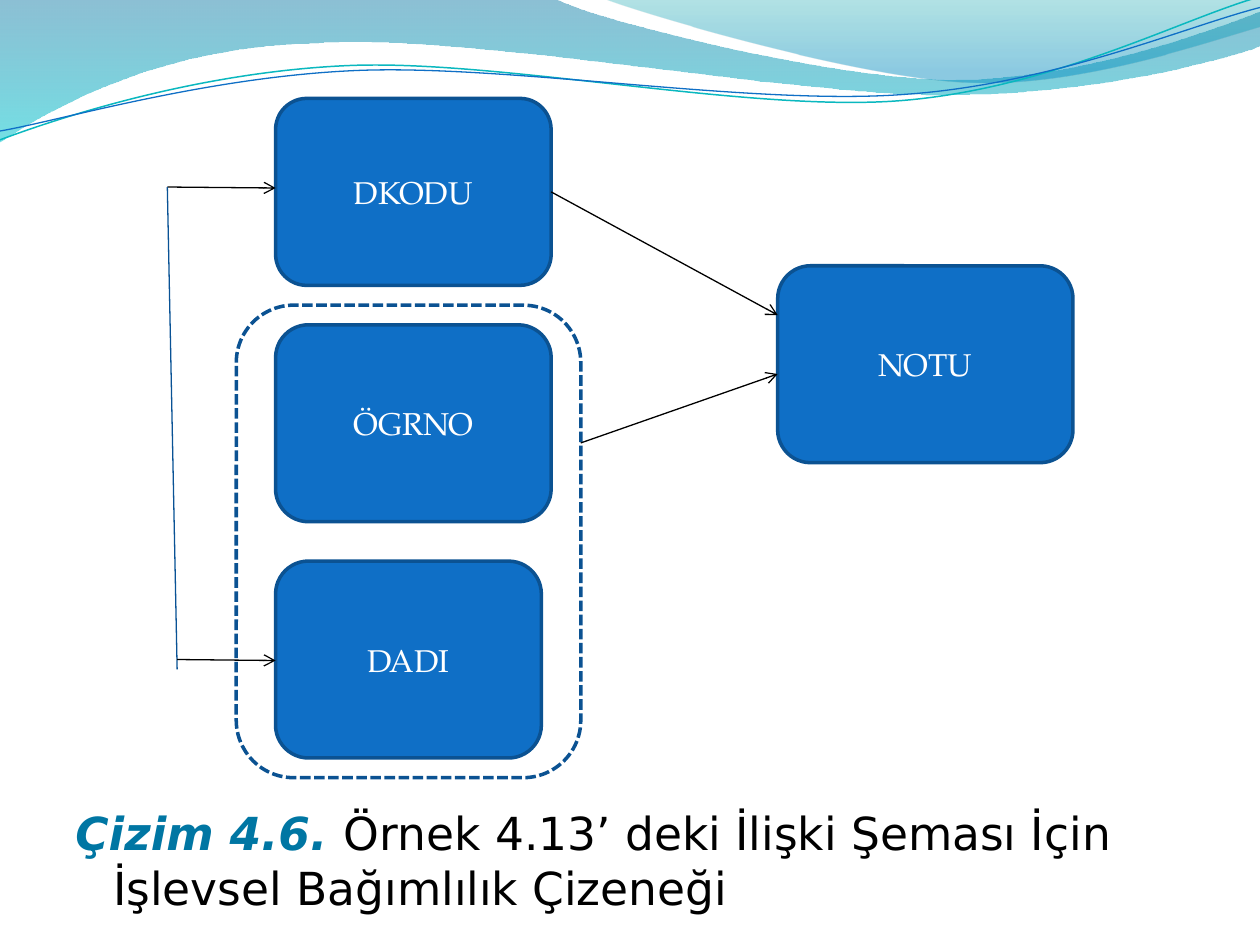
"""Builds the functional dependency diagram slide with its wave header."""
from math import cos, radians, sin

from lxml.etree import SubElement
from pptx import Presentation
from pptx.dml.color import RGBColor
from pptx.enum.dml import MSO_LINE
from pptx.enum.shapes import MSO_CONNECTOR, MSO_SHAPE
from pptx.enum.text import MSO_ANCHOR, PP_ALIGN
from pptx.oxml.ns import qn
from pptx.util import Inches, Pt

BLUE = RGBColor(0x0F, 0x6F, 0xC6)
BLUE_EDGE = RGBColor(0x0B, 0x52, 0x92)
BLUE_LINK = RGBColor(0x09, 0x52, 0x95)
CAPTION_BLUE = RGBColor(0x00, 0x76, 0xA3)
TEAL_LINE = RGBColor(0x0A, 0xB8, 0xBF)
WAVE_BLUE = RGBColor(0x00, 0x74, 0xA1)
WAVE_CYAN = RGBColor(0x00, 0xC6, 0xCF)
CREST_TEAL = RGBColor(0x00, 0xA1, 0xA9)
CREST_BLUE = RGBColor(0x00, 0x8B, 0xBF)
BLACK = RGBColor(0, 0, 0)
WHITE = RGBColor(0xFF, 0xFF, 0xFF)
TILT = 2.7

prs = Presentation()
prs.slide_width, prs.slide_height = Inches(10), Inches(7.5)
UNIT = prs.slide_width / 128
slide = prs.slides.add_slide(prs.slide_layouts[6])
shapes = slide.shapes


def grid(*cells):
    return [round(cell * UNIT) for cell in cells]


def draw_wave(segments, closed):
    """Draw segments of one point (straight) or three points (Bézier curve)."""
    points = [(Inches(x), Inches(y)) for segment in segments for x, y in segment]
    builder = shapes.build_freeform(*points[0])
    builder.add_line_segments(points[1:], close=closed)
    wave = builder.convert_to_shape()
    wave.shadow.inherit = False
    straights = iter(list(wave._element.iter(qn("a:lnTo"))))
    for segment in segments[1:]:
        lead, *rest = [next(straights) for _ in segment]
        if rest:
            lead.tag = qn("a:cubicBezTo")
            for straight in rest:
                lead.append(straight[0])
                straight.getparent().remove(straight)
    return wave


bands = [
    ([[(0, 0)], [(4.4, -0.01)],
      [(4.76, 0.17), (6.64, 0.63), (7.58, 0.63)],
      [(8.53, 0.63), (9.58, 0.26), (10, 0.09)], [(10.01, 0.36)],
      [(9.83, 0.44), (8.7, 0.76), (7.46, 0.75)],
      [(6.22, 0.75), (3.82, 0.28), (2.57, 0.34)],
      [(1.29, 0.36), (0.46, 0.83), (-0.01, 1.13)], [(0, 0)]],
     [(0, WAVE_BLUE, 45), (1, WAVE_CYAN, 55)]),
    ([[(4.79, -0.01)],
      [(5.09, 0.11), (6.82, 0.62), (7.69, 0.65)],
      [(8.56, 0.69), (9.61, 0.32), (10, 0.21)], [(10, 0)], [(4.79, -0.01)]],
     [(0, CREST_TEAL, 30), (0.8, CREST_BLUE, 45)]),
]
for segments, colours in bands:
    band = draw_wave(segments, True)
    band.line.fill.background()
    band.fill.gradient()
    band.fill.gradient_angle = 270
    for stop, (position, colour, _) in zip(band.fill.gradient_stops, colours):
        stop.position = position
        stop.color.rgb = colour
    for colour_xml, (_, _, opacity) in zip(band._element.iter(qn("a:srgbClr")), colours):
        SubElement(colour_xml, qn("a:alpha"), val=str(opacity * 1000))

ripples = [
    ([[(0, 1.11)],
      [(0.48, 0.93), (1.58, 0.57), (2.77, 0.52)],
      [(3.95, 0.47), (5.93, 0.89), (7.13, 0.8)],
      [(8.33, 0.71), (9.38, 0.15), (9.98, -0.02)]], (4.99, 0.58), TEAL_LINE, 0.85),
    ([[(0, 1.04)],
      [(0.47, 0.96), (1.64, 0.61), (2.83, 0.56)],
      [(4.03, 0.51), (5.97, 0.84), (7.17, 0.75)],
      [(8.36, 0.67), (9.41, 0.21), (10, 0.06)]], (5, 0.59), BLUE, 0.75),
]
turn_cos, turn_sin = cos(radians(TILT)), sin(radians(TILT))
for segments, (pivot_x, pivot_y), colour, weight in ripples:
    levelled = [[(pivot_x + (x - pivot_x) * turn_cos - (y - pivot_y) * turn_sin,
                  pivot_y + (x - pivot_x) * turn_sin + (y - pivot_y) * turn_cos)
                 for x, y in segment] for segment in segments]
    ripple = draw_wave(levelled, False)
    ripple.rotation = 360 - TILT
    ripple.fill.background()
    ripple.line.color.rgb = colour
    ripple.line.width = Pt(weight)

caption = shapes.add_textbox(Inches(0.5), Inches(6.34), Inches(9), Inches(0.95)).text_frame
caption.word_wrap = True
sentence = caption.paragraphs[0]
sentence._p.get_or_add_pPr().set("marL", str(Inches(0.3)))
sentence._p.get_or_add_pPr().set("indent", str(Inches(-0.3)))
for words, colour, strong in [
    ("Çizim 4.6. ", CAPTION_BLUE, True),
    ("Örnek 4.13’ deki İlişki Şeması İçin İşlevsel Bağımlılık Çizeneği", BLACK, False),
]:
    run = sentence.add_run()
    run.text = words
    run.font.name, run.font.size = "DejaVu Sans", Pt(26)
    run.font.bold = run.font.italic = strong
    run.font.color.rgb = colour

for label, *cells in [
    ("DKODU", 28, 10, 28, 19),
    ("ÖGRNO", 28, 33, 28, 20),
    ("DADI", 28, 57, 27, 20),
    ("NOTU", 79, 27, 30, 20),
    ("", 24, 31, 35, 48),
]:
    attribute = shapes.add_shape(MSO_SHAPE.ROUNDED_RECTANGLE, *grid(*cells))
    attribute.shadow.inherit = False
    attribute.line.color.rgb = BLUE_EDGE
    attribute.line.width = Pt(2)
    if not label:
        attribute.fill.background()
        attribute.line.dash_style = MSO_LINE.SQUARE_DOT
        continue
    attribute.fill.solid()
    attribute.fill.fore_color.rgb = BLUE
    attribute.text_frame.text = label
    attribute.text_frame.vertical_anchor = MSO_ANCHOR.MIDDLE
    name = attribute.text_frame.paragraphs[0]
    name.alignment = PP_ALIGN.CENTER
    font = name.runs[0].font
    font.name, font.size = "TeX Gyre Pagella", Pt(18)
    font.color.rgb = WHITE

for cells, colour, has_arrow in [
    ((56, 19.5, 79, 32), BLACK, True),
    ((59, 45, 79, 38), BLACK, True),
    ((17, 19, 28, 19.1), BLACK, True),
    ((17, 19, 18, 68), BLUE_LINK, False),
    ((18, 67, 28, 67.1), BLACK, True),
]:
    dependency = shapes.add_connector(MSO_CONNECTOR.STRAIGHT, *grid(*cells))
    dependency.line.color.rgb = colour
    dependency.line.width = Pt(0.75)
    if has_arrow:
        SubElement(dependency.line._get_or_add_ln(), qn("a:tailEnd"), type="arrow")
    SubElement(dependency._element.spPr, qn("a:effectLst"))

prs.save("out.pptx")
